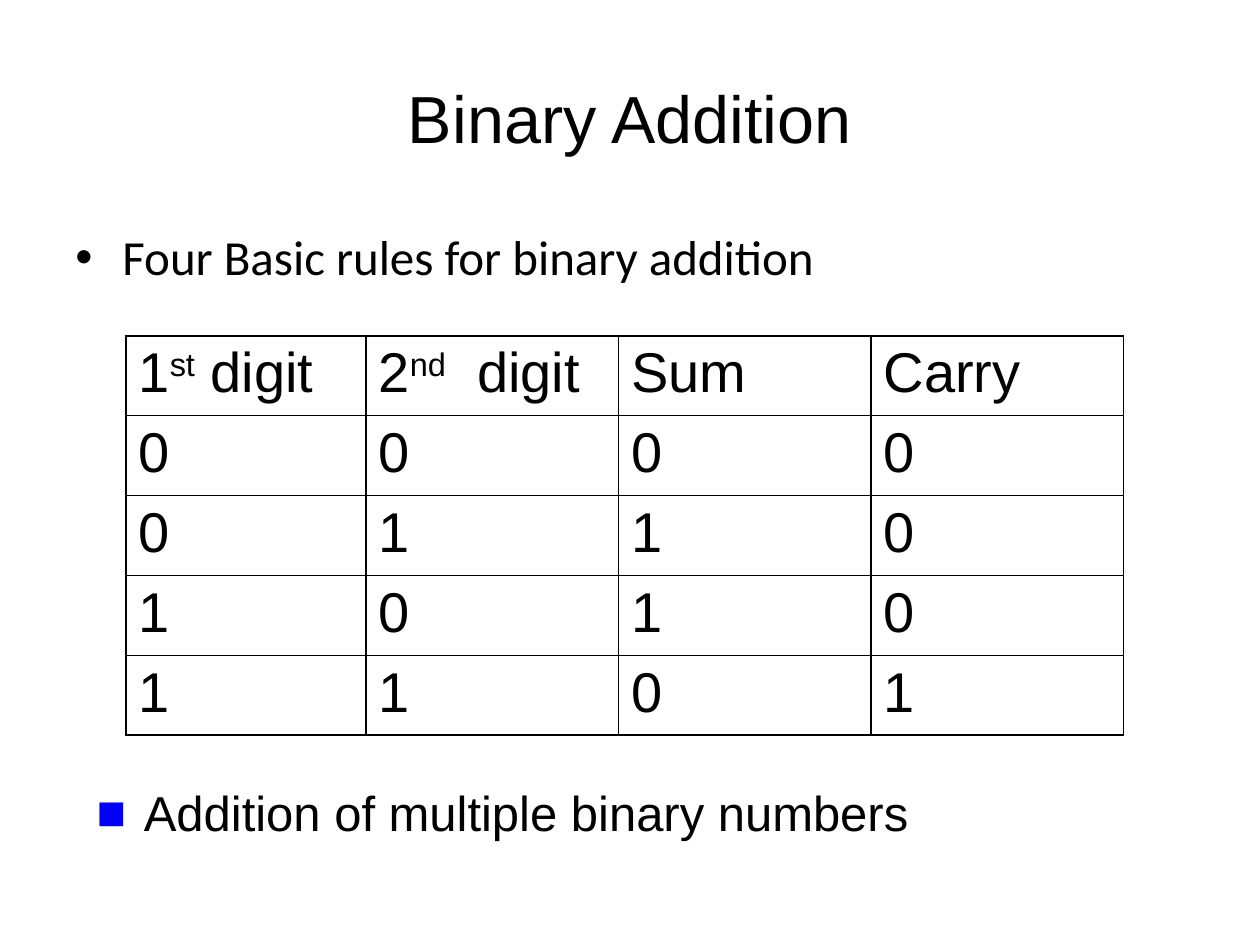
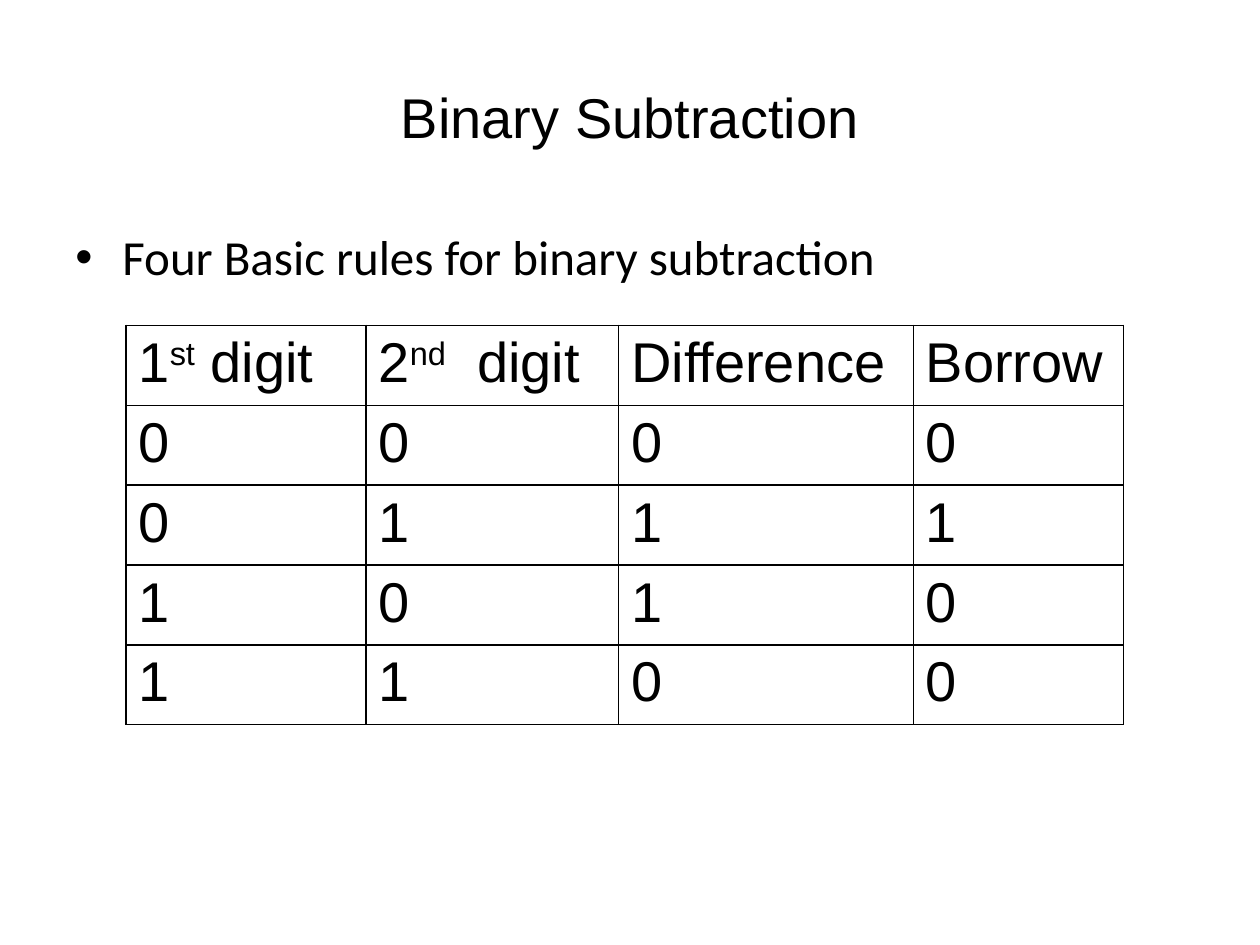
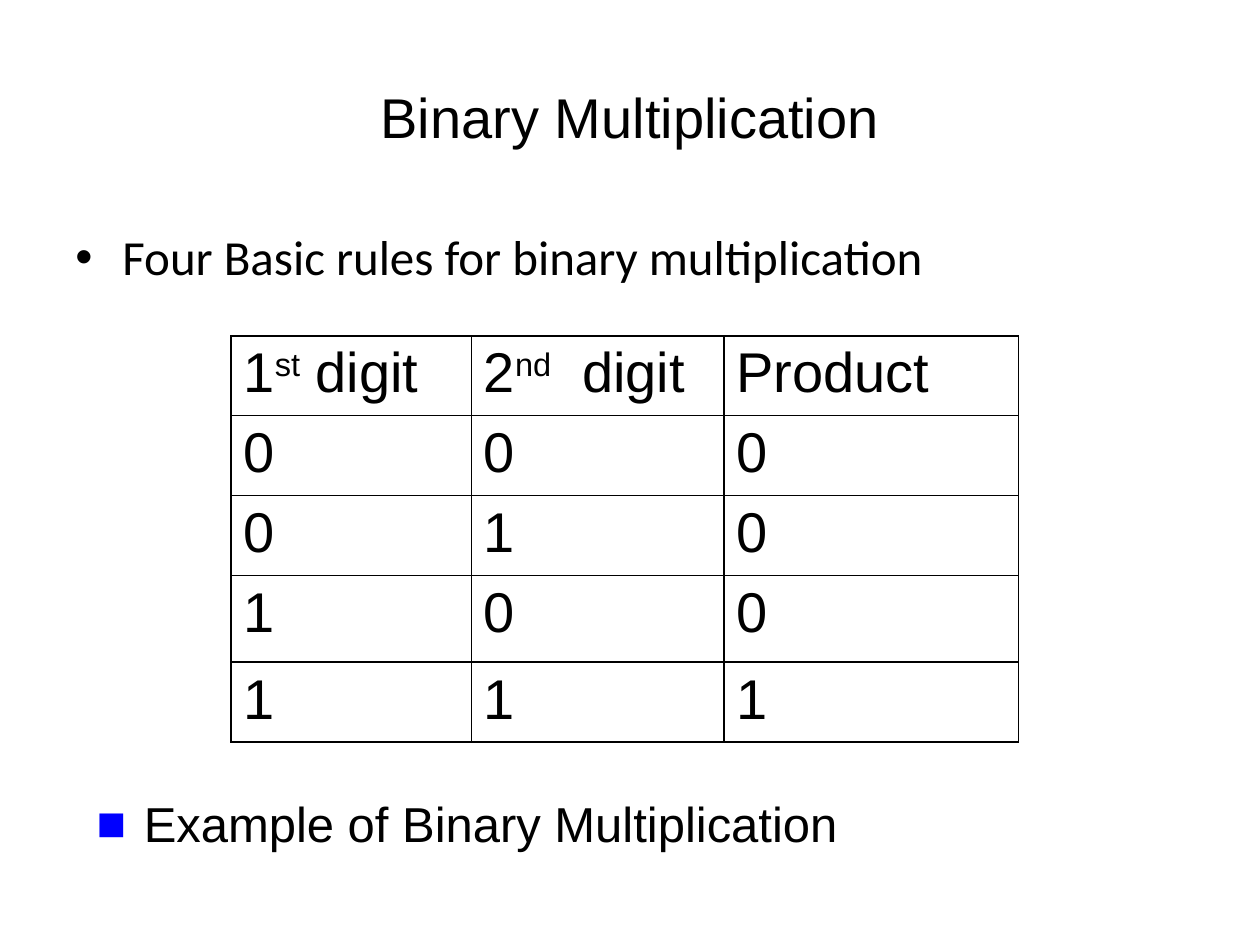
from typing import NamedTuple

import pptx
import pptx.dml.color
import pptx.enum.text
import pptx.oxml
import pptx.oxml.ns
import pptx.util
from pptx.util import Cm

# Shared look
COLORS = {"ink": "000000", "mark": "0000FF"}
ROW = 1.61
INDENT = Cm(0.95)
ALIGN = pptx.enum.text.PP_ALIGN
ANCHOR = pptx.enum.text.MSO_ANCHOR


class Run(NamedTuple):
    text: str
    base: int = 0  # superscript, percent
    gap: int = 0  # extra letter spacing, hundredths of a point


class Bullet(NamedTuple):
    text: str
    left: float
    top: float
    sign: str
    color: str
    face: str


class Grid(NamedTuple):
    left: float
    top: float
    cols: list[float]
    heads: list[str]
    rows: list[str]
    tall: dict[int, float] = {}


class Page(NamedTuple):
    title: str
    size: int
    rule: str
    grid: Grid
    note: str = ""
    drop: float = 0


FIRST = [Run("1"), Run("st", base=30), Run(" digit")]
SECOND = [Run("2"), Run("nd", base=30), Run(" ", gap=890), Run("digit")]

PAGES = [
    Page("Binary Addition", 38, "Four Basic rules for binary addition",
         Grid(2.54, 6.77, [4.84, 5.09, 5.09, 5.09], ["Sum", "Carry"],
              ["0000", "0110", "1010", "1101"]),
         "Addition of multiple binary numbers", 15.66),
    Page("Binary Subtraction", 32, "Four Basic rules for binary subtraction",
         Grid(2.54, 6.56, [4.84, 5.09, 5.94, 4.24], ["Difference", "Borrow"],
              ["0000", "0111", "1010", "1100"])),
    Page("Binary Multiplication", 32,
         "Four Basic rules for binary multiplication",
         Grid(4.66, 6.77, [4.84, 5.09, 5.94], ["Product"],
              ["000", "010", "100", "111"], {3: 1.75}),
         "Example of Binary Multiplication", 15.88),
]


def add_xml(parent, xml: str) -> None:
    """Append one drawing element to its parent."""
    space = pptx.oxml.ns.nsdecls("a")
    tag, rest = xml[:xml.index(" ")], xml[xml.index(" "):]
    parent.append(pptx.oxml.parse_xml(f"{tag} {space}{rest}"))


def style(para, size: int, face: str) -> None:
    para.font.size = pptx.util.Pt(size)
    para.font.name = face
    para.font.color.rgb = pptx.dml.color.RGBColor.from_string(COLORS["ink"])


def add_title(slide, text: str, size: int) -> None:
    title = slide.shapes.title
    title.left, title.top = Cm(1.27), Cm(0.76)
    title.width, title.height = Cm(22.86), Cm(3.18)
    frame = title.text_frame
    frame.text = text
    frame.vertical_anchor = ANCHOR.MIDDLE
    para = frame.paragraphs[0]
    para.alignment = ALIGN.CENTER
    style(para, size, "Arial")


def add_bullet(slide, item: Bullet) -> None:
    box = slide.shapes.add_textbox(Cm(item.left), Cm(item.top),
                                   Cm(22.66), Cm(1.9))
    frame = box.text_frame
    frame.word_wrap = True
    para = frame.paragraphs[0]
    para.text = item.text
    props = para._p.get_or_add_pPr()
    props.set("marL", str(INDENT))
    props.set("indent", str(-INDENT))
    add_xml(props, f'<a:buClr ><a:srgbClr val="{COLORS[item.color]}"/></a:buClr>')
    add_xml(props, '<a:buFont typeface="Arial"/>')
    add_xml(props, f'<a:buChar char="{item.sign}"/>')
    style(para, 28, item.face)


def fill_cell(cell, runs: list[Run]) -> None:
    para = cell.text_frame.paragraphs[0]
    para.alignment = ALIGN.JUSTIFY
    style(para, 32, "Arial")
    for part in runs:
        run = para.add_run()
        run.text = part.text
        props = run._r.get_or_add_rPr()
        if part.base:
            props.set("baseline", str(part.base * 1000))
        if part.gap:
            props.set("spc", str(part.gap))
    # Borders come before the fill
    props = cell._tc.get_or_add_tcPr()
    for side in "LRTB":
        add_xml(props, f'<a:ln{side} w="12700"><a:solidFill>'
                       f'<a:srgbClr val="{COLORS["ink"]}"/>'
                       f'</a:solidFill></a:ln{side}>')
    cell.fill.background()


def add_grid(slide, grid: Grid) -> None:
    lines = [[FIRST, SECOND] + [[Run(head)] for head in grid.heads]]
    lines += [[[Run(digit)] for digit in row] for row in grid.rows]
    highs = [grid.tall.get(i, ROW) for i in range(len(lines))]
    table = slide.shapes.add_table(
        len(lines), len(grid.cols), Cm(grid.left), Cm(grid.top),
        Cm(sum(grid.cols)), Cm(sum(highs))).table
    table.first_row = table.horz_banding = False
    for col, wide in zip(table.columns, grid.cols):
        col.width = Cm(wide)
    for row, high, line in zip(table.rows, highs, lines):
        row.height = Cm(high)
        for cell, runs in zip(row.cells, line):
            fill_cell(cell, runs)


def add_page(deck, page: Page) -> None:
    slide = deck.slides.add_slide(deck.slide_layouts[5])
    add_title(slide, page.title, page.size)
    add_bullet(slide, Bullet(page.rule, 1.27, 4.45, "•", "ink", "Calibri"))
    add_grid(slide, page.grid)
    if page.note:
        add_bullet(slide, Bullet(page.note, 1.7, page.drop, "■", "mark", "Arial"))


def main() -> None:
    deck = pptx.Presentation()
    deck.slide_width, deck.slide_height = Cm(25.4), Cm(19.05)
    for page in PAGES:
        add_page(deck, page)
    deck.save("out.pptx")


if __name__ == "__main__":
    main()
